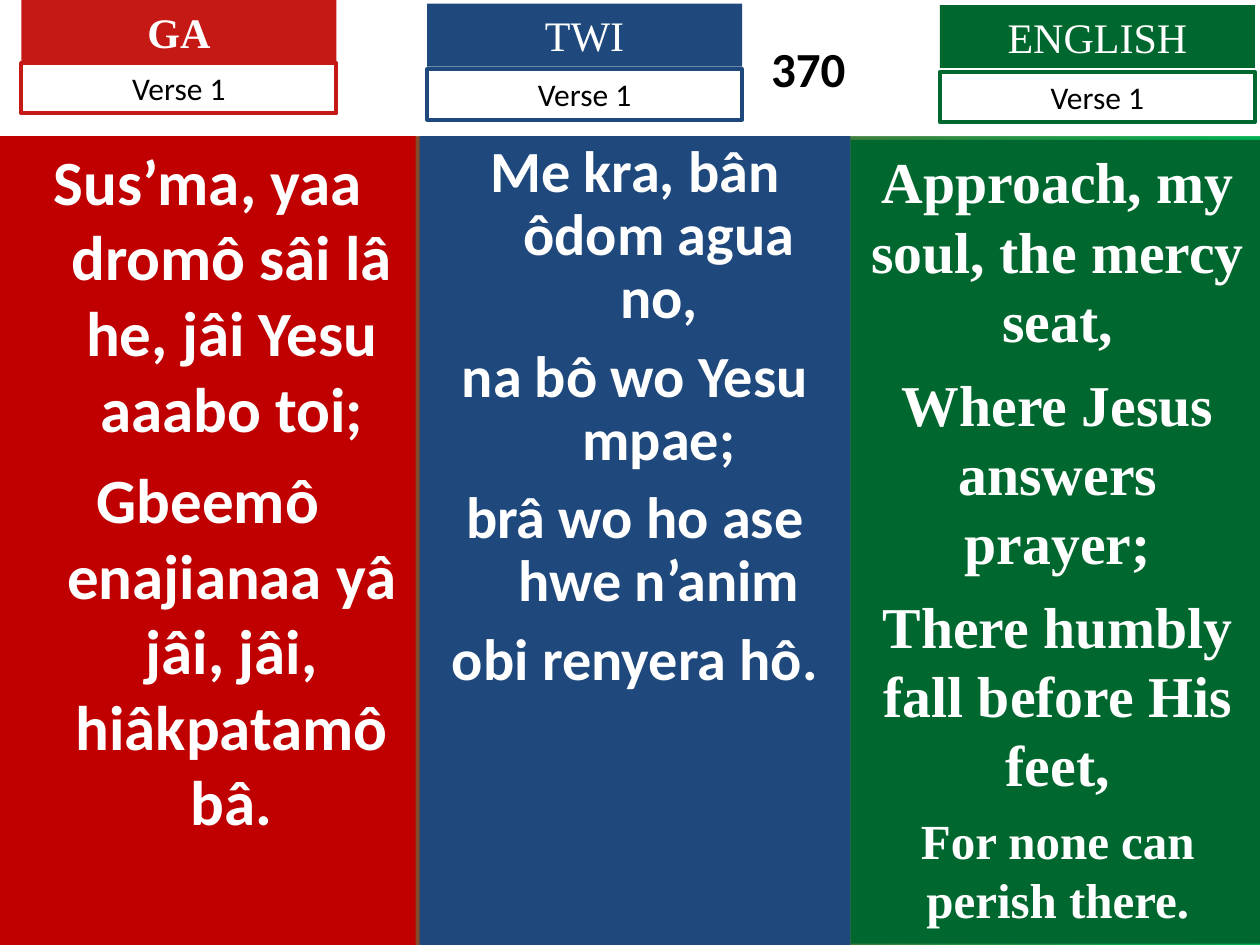
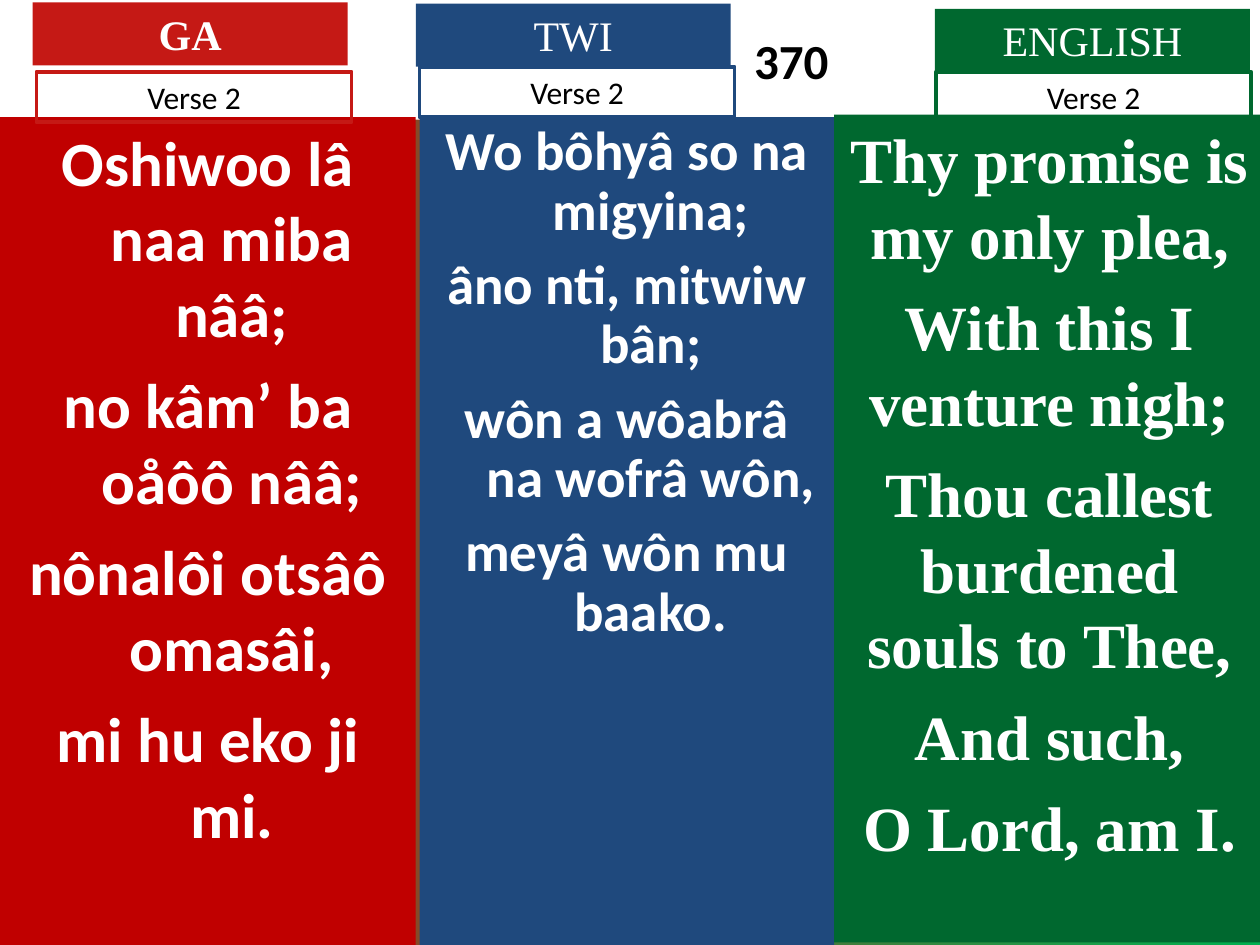
import pptx
import pptx.dml.color
import pptx.enum.shapes
import pptx.enum.text
import pptx.util

Inches = pptx.util.Inches
Pt = pptx.util.Pt
RGBColor = pptx.dml.color.RGBColor
Align = pptx.enum.text.PP_ALIGN
Anchor = pptx.enum.text.MSO_ANCHOR
Fit = pptx.enum.text.MSO_AUTO_SIZE
RECT = pptx.enum.shapes.MSO_SHAPE.RECTANGLE

WHITE = RGBColor(0xFF, 0xFF, 0xFF)
BLACK = RGBColor(0x00, 0x00, 0x00)
RED = RGBColor(0xC5, 0x19, 0x15)
DEEP_RED = RGBColor(0xC0, 0x00, 0x00)
BLUE = RGBColor(0x1F, 0x49, 0x7D)
GREEN = RGBColor(0x00, 0x68, 0x2F)
LIME = RGBColor(0x00, 0xB0, 0x50)
SANS = "Calibri"
SERIF = "Times New Roman"

HYMN = "370"
TAG_W, TAG_H, VERSE_H = 2.5, 0.5, 0.4
HANG = 0.38

# Per language: label, tag colour, panel colour, font, label bold, hang, line spacing
TONGUES = [
    ("GA", RED, DEEP_RED, SANS, True, HANG, None),
    ("TWI", BLUE, BLUE, SANS, False, HANG, 0.9),
    ("ENGLISH", GREEN, GREEN, SERIF, False, 0, None),
]

# Per verse: title height, title left margin, and one column per language:
# panel box, label corner, verse corner, text size, space before, lines
VERSES = [
    (1.08, 2.93, [
        ((0, 1.08, 3.3, 6.42), (0.17, 0), (0.17, 0.5), 36, 9,
         ["Sus’ma, yaa dromô sâi lâ he, jâi Yesu aaabo toi;",
          "Gbeemô enajianaa yâ jâi, jâi, hiâkpatamô bâ."]),
        ((3.33, 1.08, 3.42, 6.42), (3.39, 0.03), (3.39, 0.55), 33.3, 9,
         ["Me kra, bân ôdom agua no,", "na bô wo Yesu mpae;",
          "brâ wo ho ase hwe n’anim", "obi renyera hô."]),
        ((6.75, 1.11, 3.29, 6.38), (7.46, 0.04), (7.46, 0.57), 33, 8.2,
         ["Approach, my soul, the mercy seat,", "Where Jesus answers prayer;",
          "There humbly fall before His feet,", "For none can perish there."]),
    ]),
    (0.95, 2.66, [
        ((0, 0.93, 3.3, 6.57), (0.26, 0.02), (0.29, 0.57), 36, 9,
         ["Oshiwoo lâ naa miba nââ;", "no kâm’ ba oåôô nââ;",
          "nônalôi otsâô omasâi,", "mi hu eko ji mi."]),
        ((3.33, 0.93, 3.29, 6.57), (3.3, 0.03), (3.33, 0.53), 31.4, 8.5,
         ["Wo bôhyâ so na migyina;", "âno nti, mitwiw bân;",
          "wôn a wôabrâ na wofrâ wôn,", "meyâ wôn mu baako."]),
        ((6.62, 0.91, 3.42, 6.57), (7.42, 0.07), (7.43, 0.57), 36, 9,
         ["Thy promise is my only plea,", "With this I venture nigh;",
          "Thou callest burdened souls to Thee,", "And such,", "O Lord, am I."]),
    ]),
]


class Deck:
    def __init__(self):
        self.prs = pptx.Presentation()
        self.prs.slide_width = Inches(10)
        self.prs.slide_height = Inches(7.5)
        self.slide = None
        fill = self.prs.slide_master.background.fill
        fill.gradient()
        fill.gradient_angle = 0
        for stop, spot, color in zip(fill.gradient_stops, (0, 1), (RED, LIME)):
            stop.position = spot
            stop.color.rgb = color

    def add(self):
        self.slide = self.prs.slides.add_slide(self.prs.slide_layouts[5])

    def style(self, para, name, size, color, bold=False):
        para.alignment = Align.CENTER
        for run in para.runs:
            font = run.font
            font.name, font.size, font.bold = name, Pt(size), bold
            font.color.rgb = color

    def title(self, text, height, margin):
        """White band whose number is centred right of the margin."""
        shape = self.slide.shapes.title
        shape.left, shape.top = Inches(0), Inches(0)
        shape.width, shape.height = Inches(10), Inches(height)
        shape.fill.solid()
        shape.fill.fore_color.rgb = WHITE
        frame = shape.text_frame
        frame.text = text
        frame.margin_left = Inches(margin)
        frame.vertical_anchor = Anchor.MIDDLE
        self.style(frame.paragraphs[0], SANS, 28, BLACK, True)

    def rect(self, box, fill=None, line=None):
        shape = self.slide.shapes.add_shape(RECT, *map(Inches, box))
        shape.shadow.inherit = False
        if fill is None:
            shape.fill.background()
        else:
            shape.fill.solid()
            shape.fill.fore_color.rgb = fill
        if line is None:
            shape.line.fill.background()
        else:
            shape.line.color.rgb = line
            shape.line.width = Pt(2.25)
        frame = shape.text_frame
        frame.word_wrap = True
        frame.vertical_anchor = Anchor.TOP
        return frame

    def tag(self, corner, text, color, bold):
        frame = self.rect((*corner, TAG_W, TAG_H), fill=color)
        frame.text = text
        frame.auto_size = Fit.SHAPE_TO_FIT_TEXT
        self.style(frame.paragraphs[0], SERIF, 24, WHITE, bold)

    def verse(self, corner, text, color):
        frame = self.rect((*corner, TAG_W, VERSE_H), line=color)
        frame.text = text
        frame.auto_size = Fit.SHAPE_TO_FIT_TEXT
        self.style(frame.paragraphs[0], SANS, 18, BLACK)

    def panel(self, box, lines, color, name, size, gap, hang, pitch):
        frame = self.rect(box, fill=color)
        frame.text = "\n".join(lines)
        for num, para in enumerate(frame.paragraphs):
            if hang:
                props = para._p.get_or_add_pPr()
                props.set("marL", str(Inches(hang)))
                props.set("indent", str(-Inches(hang)))
            if pitch:
                para.line_spacing = pitch
            para.space_before = Pt(gap if num else 0)
            self.style(para, name, size, WHITE, True)
        return frame


def main():
    deck = Deck()
    for num, (height, margin, cols) in enumerate(VERSES, 1):
        deck.add()
        deck.title(HYMN, height, margin)
        for tongue, col in zip(TONGUES, cols):
            label, color, back, name, bold, hang, pitch = tongue
            box, top, low, size, gap, lines = col
            frame = deck.panel(box, lines, back, name, size, gap, hang, pitch)
            deck.tag(top, label, color, bold)
            deck.verse(low, f"Verse {num}", color)
            if num == 1 and label == "ENGLISH":
                last = frame.paragraphs[-1]
                last.space_before = Pt(7)
                deck.style(last, name, 28, WHITE, True)
    deck.prs.save("out.pptx")


if __name__ == "__main__":
    main()
